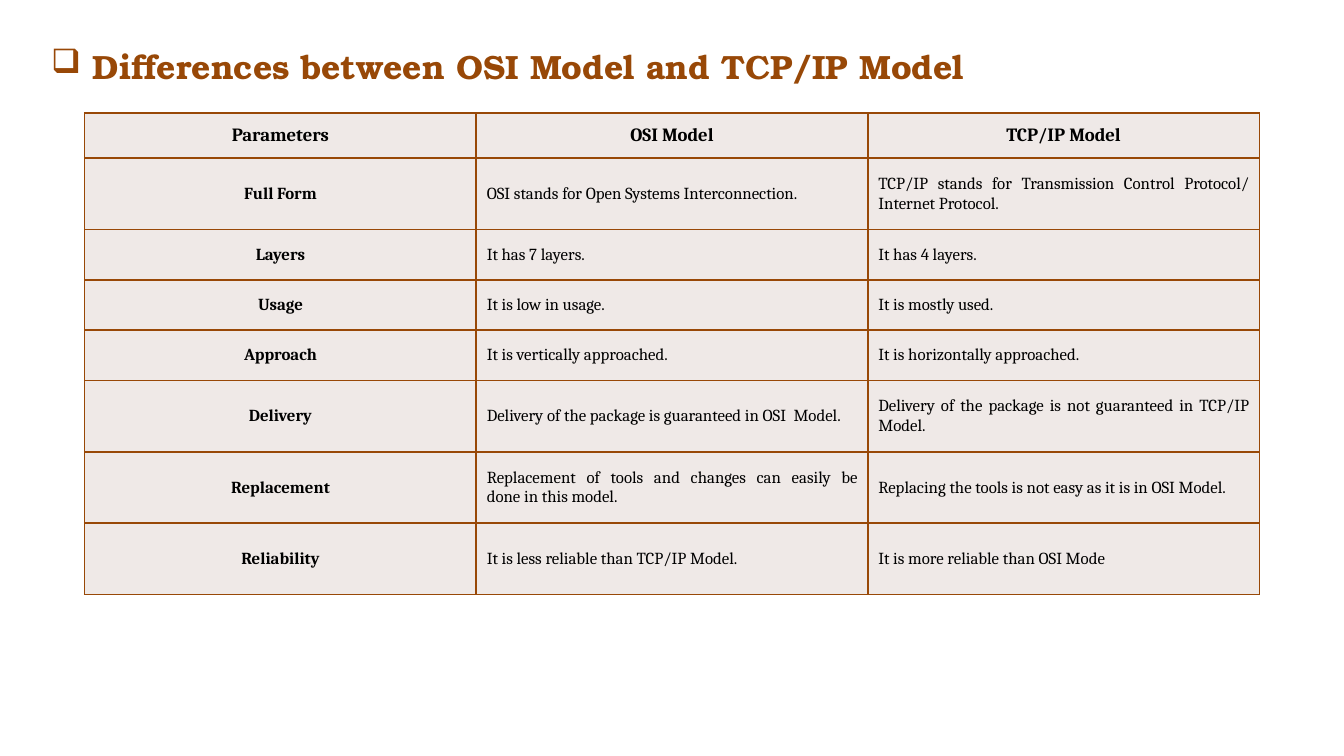
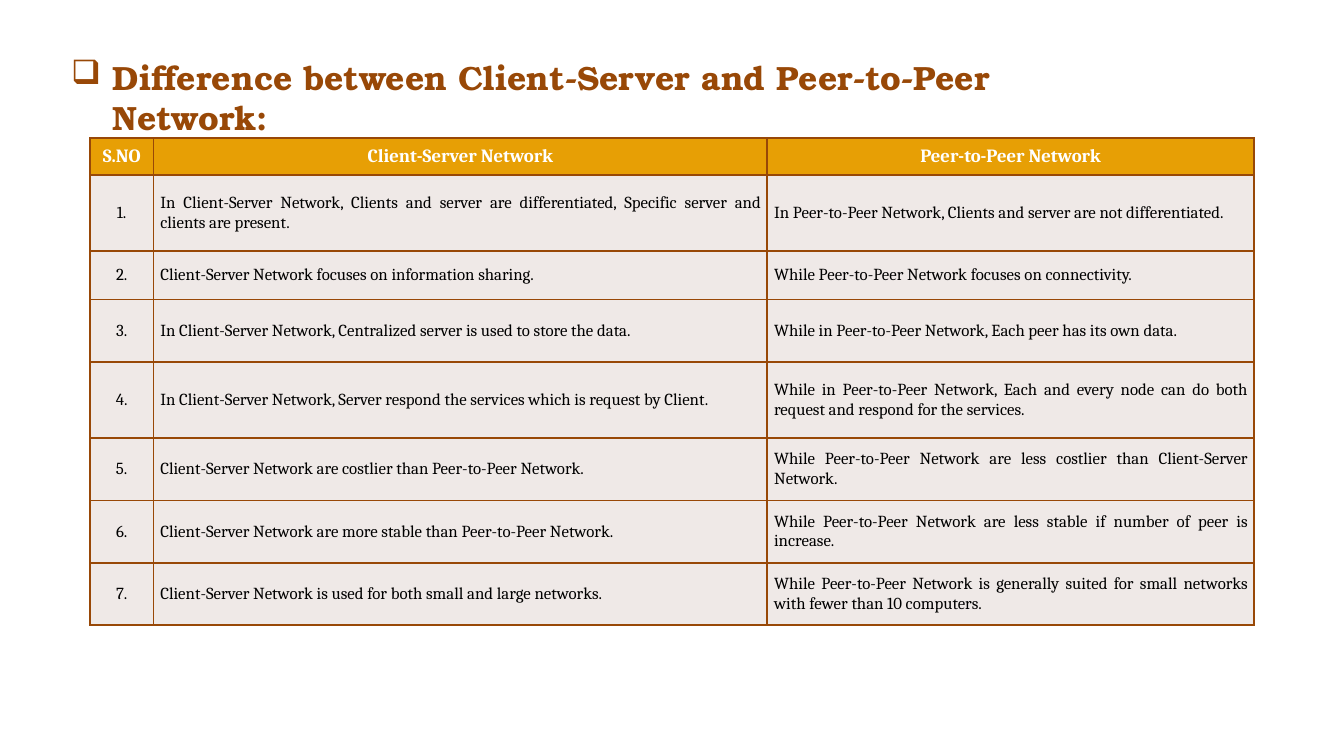
from lxml import etree
from pptx import Presentation
from pptx.dml.color import RGBColor
from pptx.enum.text import MSO_ANCHOR, MSO_AUTO_SIZE, PP_ALIGN
from pptx.oxml.ns import qn
from pptx.util import Cm, Pt

CENTER, JUSTIFY, LEFT = PP_ALIGN.CENTER, PP_ALIGN.JUSTIFY, PP_ALIGN.LEFT
TOP, MIDDLE = MSO_ANCHOR.TOP, MSO_ANCHOR.MIDDLE
FIT_SHAPE = MSO_AUTO_SIZE.SHAPE_TO_FIT_TEXT
TITLE_ONLY = 5

COLORS = {
    "brown": "984807",
    "amber": "E79F05",
    "sand": "EFE9E7",
    "black": "000000",
    "white": "FFFFFF",
}

OSI_ROWS = [
    ("Parameters", "OSI Model", "TCP/IP Model"),
    ("Full Form", "OSI stands for Open Systems Interconnection.",
     "TCP/IP stands for Transmission Control Protocol/ Internet Protocol."),
    ("Layers", "It has 7 layers.", "It has 4 layers."),
    ("Usage", "It is low in usage.", "It is mostly used."),
    ("Approach", "It is vertically approached.", "It is horizontally approached."),
    ("Delivery", "Delivery of the package is guaranteed in OSI  Model.",
     "Delivery of the package is not guaranteed in TCP/IP Model."),
    ("Replacement",
     "Replacement of tools and changes can easily be\vdone in this model.",
     "Replacing the tools is not easy as it is in OSI Model."),
    ("Reliability", "It is less reliable than TCP/IP Model.",
     "It is more reliable than OSI Mode"),
]

NETWORK_HEADER = ("S.NO", "Client-Server Network", "Peer-to-Peer Network")
NETWORK_PAIRS = [
    ("In Client-Server Network, Clients and server are differentiated, "
     "Specific server and clients are present.",
     "In Peer-to-Peer Network, Clients and server are not differentiated."),
    ("Client-Server Network focuses on information sharing.",
     "While Peer-to-Peer Network focuses on connectivity."),
    ("In Client-Server Network, Centralized server is used to store the data.",
     "While in Peer-to-Peer Network, Each peer has its own data."),
    ("In Client-Server Network, Server respond the services which is request by Client.",
     "While in Peer-to-Peer Network, Each and every node can do both "
     "request and respond for the services."),
    ("Client-Server Network are costlier than Peer-to-Peer Network.",
     "While Peer-to-Peer Network are less costlier than Client-Server Network."),
    ("Client-Server Network are more stable than Peer-to-Peer Network.",
     "While Peer-to-Peer Network are less stable if number of peer is increase."),
    ("Client-Server Network is used for both small and large networks.",
     "While Peer-to-Peer Network is generally suited for small networks "
     "with fewer than 10 computers."),
]
NETWORK_ROWS = [NETWORK_HEADER] + [
    (f"{number}.", *pair) for number, pair in enumerate(NETWORK_PAIRS, 1)
]


def rgb(name):
    return RGBColor.from_string(COLORS[name])


class Deck:
    title_font = "TeX Gyre Bonum"
    table_font = "Cambria"

    def __init__(self):
        self.prs = Presentation()
        self.prs.slide_width, self.prs.slide_height = Cm(25.4), Cm(14.29)
        self.s = None

    def slide(self):
        self.s = self.prs.slides.add_slide(self.prs.slide_layouts[TITLE_ONLY])

    def font(self, p, name, size, color, bold):
        p.font.name, p.font.size, p.font.bold = name, Pt(size), bold
        p.font.color.rgb = rgb(color)

    def title(self, text, left, top, width):
        sp = self.s.shapes.title
        sp.left, sp.top, sp.width, sp.height = Cm(left), Cm(top), Cm(width), Cm(1.02)
        tf = sp.text_frame
        tf.text = text
        tf.word_wrap = True
        tf.auto_size = FIT_SHAPE
        tf.vertical_anchor = TOP
        p = tf.paragraphs[0]
        p.alignment = LEFT
        self.font(p, self.title_font, 18, "brown", True)
        pPr = p._p.get_or_add_pPr()
        pPr.set("marL", str(Cm(0.79)))
        pPr.set("indent", str(-Cm(0.79)))
        bullet = etree.Element(qn("a:buChar"), char="❑")
        pPr.insert(0, bullet)

    def borders(self, cell):
        tcPr = cell._tc.get_or_add_tcPr()
        for index, side in enumerate(("lnL", "lnR", "lnT", "lnB")):
            ln = etree.Element(qn(f"a:{side}"), w=str(Pt(1)))
            fill = etree.SubElement(ln, qn("a:solidFill"))
            etree.SubElement(fill, qn("a:srgbClr"), val=COLORS["brown"])
            tcPr.insert(index, ln)

    def cell(self, cell, text, align, size, color, fill, bold, margin_x, margin_y):
        cell.text = text
        cell.vertical_anchor = MIDDLE
        cell.margin_left = cell.margin_right = Cm(margin_x)
        cell.margin_top = cell.margin_bottom = Cm(margin_y)
        cell.fill.solid()
        cell.fill.fore_color.rgb = rgb(fill)
        p = cell.text_frame.paragraphs[0]
        p.alignment = align
        self.font(p, self.table_font, size, color, bold)
        self.borders(cell)

    def table(self, rows, left, top, widths, heights, pad, corner_pad, body_pad,
              header_fill="sand", header_color="black", bold_labels=False):
        frame = self.s.shapes.add_table(
            len(rows), len(widths), Cm(left), Cm(top), Cm(sum(widths)), Cm(sum(heights)))
        table = frame.table
        table.horz_banding = False
        for column, width in zip(table.columns, widths):
            column.width = Cm(width)
        for row, height in zip(table.rows, heights):
            row.height = Cm(height)
        for i, texts in enumerate(rows):
            for j, text in enumerate(texts):
                cell = table.cell(i, j)
                if i == 0:
                    self.cell(cell, text, CENTER, 10, header_color, header_fill, True,
                              pad if j else corner_pad, pad)
                else:
                    self.cell(cell, text, JUSTIFY if j else CENTER, 9, "black", "sand",
                              bold_labels and j == 0, pad, body_pad)


def main():
    deck = Deck()

    deck.slide()
    deck.title("Differences between OSI Model and TCP/IP Model", 0.71, 0.74, 18.36)
    deck.table(OSI_ROWS, 1.6, 2.14, [7.4] * 3, [0.85] + [1.35] + [0.95] * 3 + [1.35] * 3,
               pad=0.2, corner_pad=0.08, body_pad=0.28, bold_labels=True)

    deck.slide()
    deck.title("Difference between Client-Server and Peer-to-Peer Network:", 1.09, 0.94, 21)
    deck.table(NETWORK_ROWS, 1.7, 2.61, [1.2, 11.6, 9.2],
               [0.7, 1.44, 0.91, 1.18, 1.44] + [1.18] * 3,
               pad=0.13, corner_pad=0.05, body_pad=0.18,
               header_fill="amber", header_color="white")

    deck.prs.save("out.pptx")


if __name__ == "__main__":
    main()
